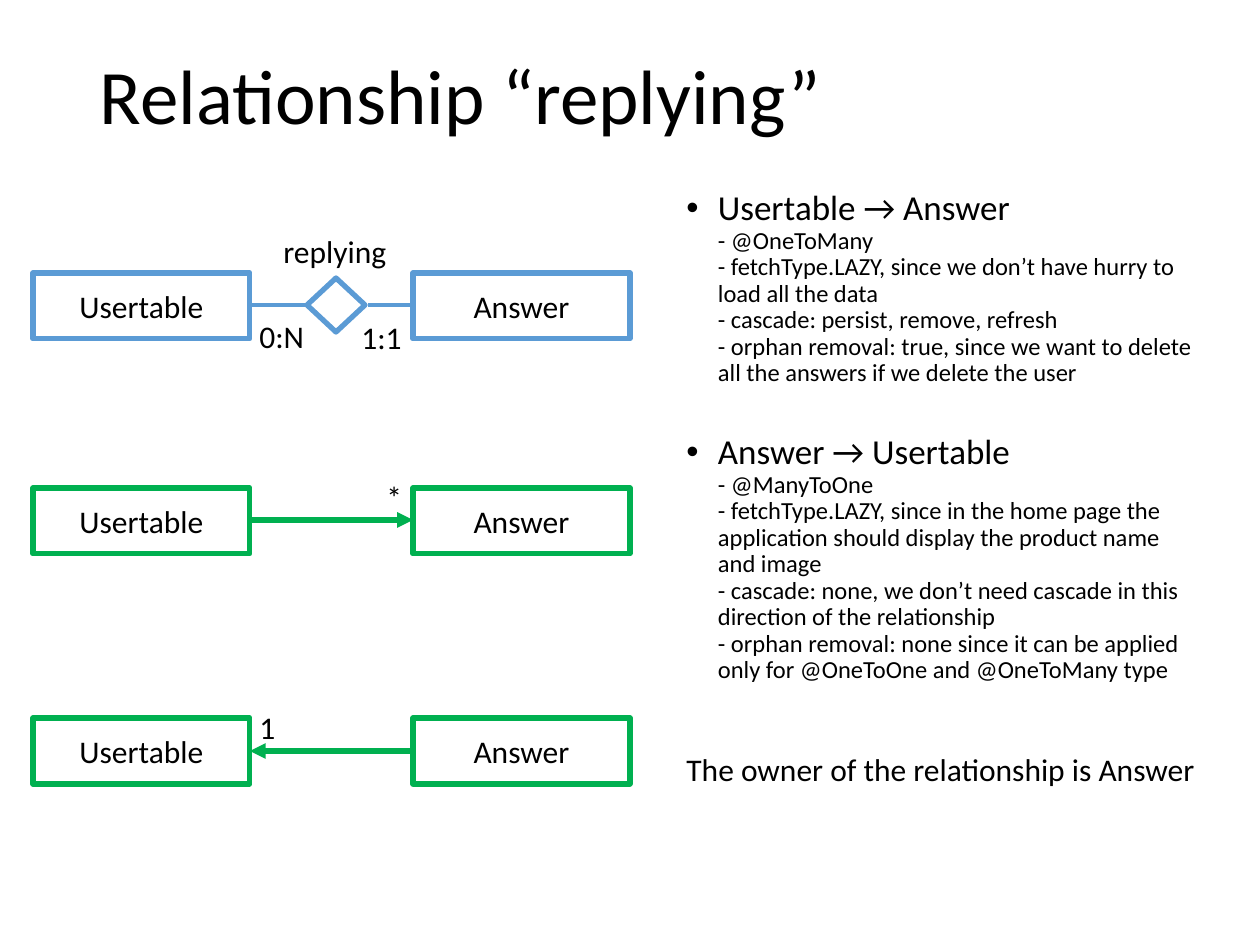
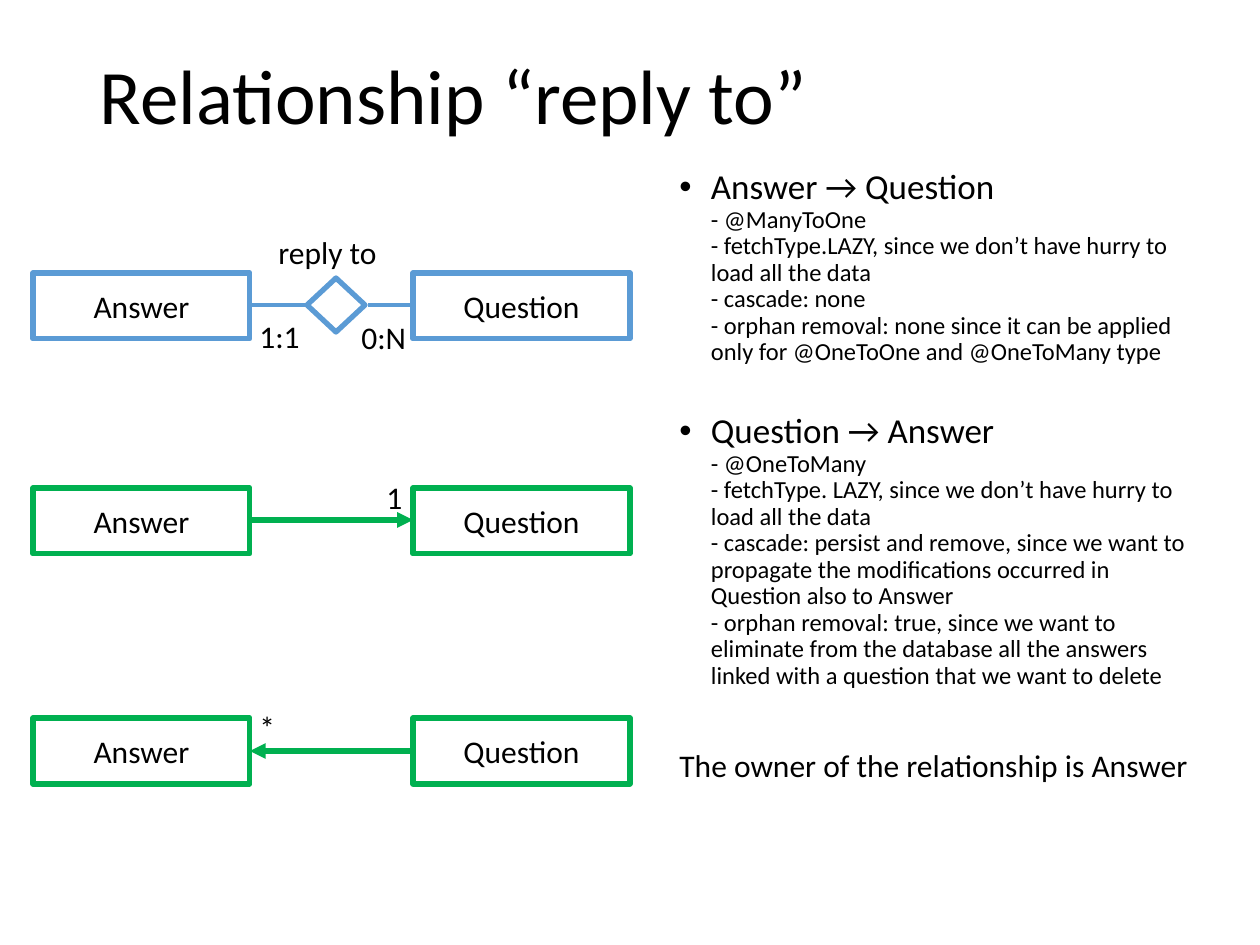
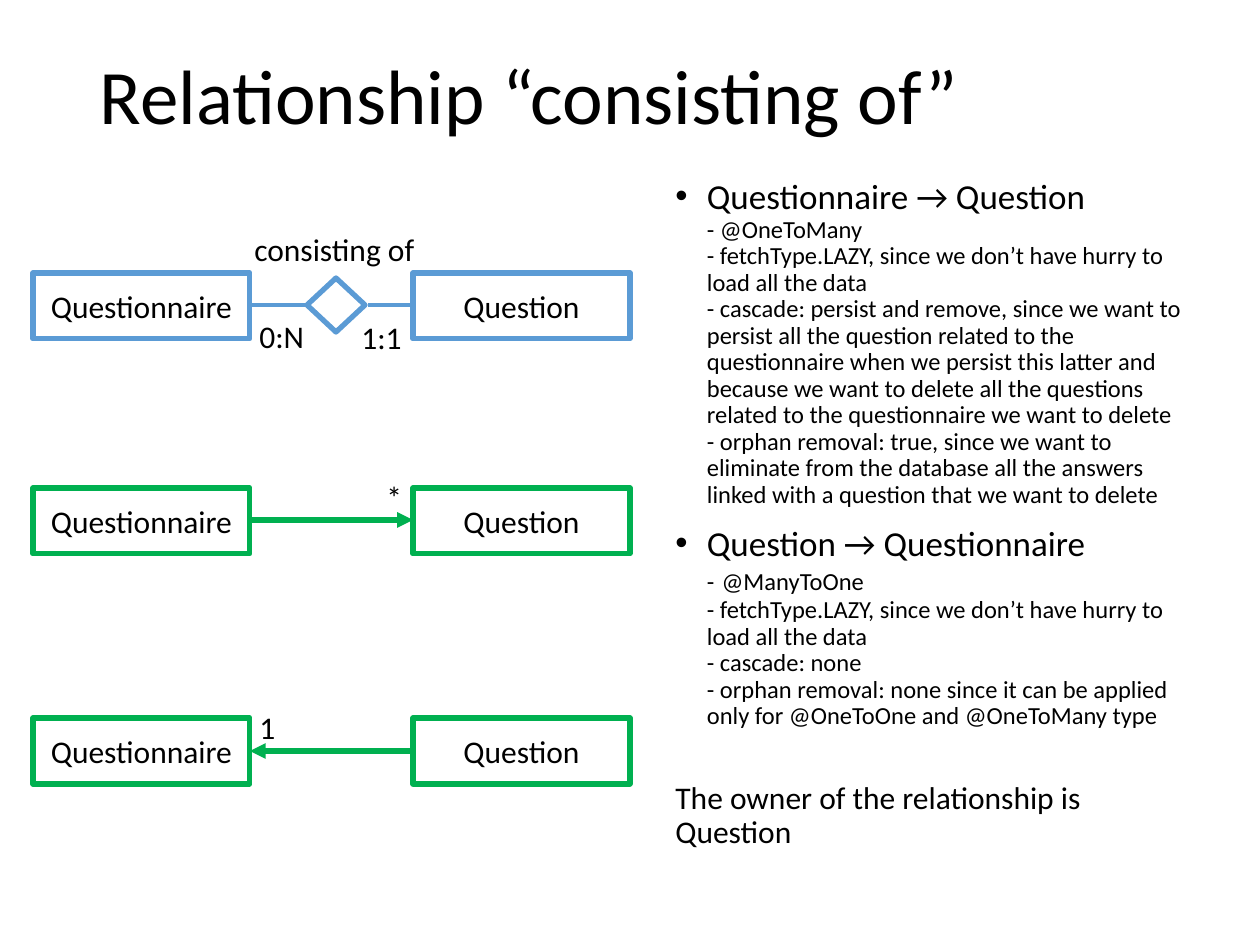
"""Build three slides that map entity relationships to their annotations."""
from lxml.etree import SubElement
from pptx import Presentation
from pptx.dml.color import RGBColor
from pptx.enum.shapes import MSO_CONNECTOR, MSO_SHAPE
from pptx.enum.text import MSO_ANCHOR, MSO_AUTO_SIZE, PP_ALIGN
from pptx.oxml.ns import qn
from pptx.util import Pt

SCALE = 914400 / 126
BLACK = RGBColor(0x00, 0x00, 0x00)
WHITE = RGBColor(0xFF, 0xFF, 0xFF)
BLUE = RGBColor(0x5B, 0x9B, 0xD5)
GREEN = RGBColor(0x00, 0xB0, 0x50)

BOX_LEFTS = (33, 413)
BOX_WIDTH, BOX_HEIGHT = 217, 66
LABEL_HEIGHT = 50
ROWS = ((273, BLUE), (488, GREEN), (718, GREEN))
LINKS = (
    (413, 368, 305, BLUE, 2.25, False),
    (307, 250, 305, BLUE, 2.25, False),
    (413, 250, 520, GREEN, 3, True),
    (250, 413, 751, GREEN, 3, True),
)
CARDINALITY_WIDTHS = {"1:1": 67, "0:N": 71, "*": 42, "1": 42}

LAZY = "- fetchType.LAZY, since we don’t have hurry to load all the data\n"
NO_ORPHANS = "- orphan removal: none since it can be applied only for @OneToOne and @OneToMany type"
ORPHANS = (
    "- orphan removal: true, since we want to eliminate from the database "
    "all the answers linked with a question that we want to delete"
)

SLIDES = (
    {
        "name": "replying",
        "name_at": (271, 226, 130),
        "entities": ("Usertable", "Answer"),
        "cardinalities": ("0:N", "1:1", "*", "1"),
        "body_at": (674, 184),
        "paragraphs": (
            (0, True, (
                ("Usertable → Answer\n", 20),
                ("- @OneToMany\n" + LAZY + "- cascade: persist, remove, refresh\n"
                 "- orphan removal: true, since we want to delete all the answers "
                 "if we delete the user", 14),
            )),
            (27, True, (
                ("Answer → Usertable\n", 20),
                ("- @ManyToOne\n"
                 "- fetchType.LAZY, since in the home page the application should "
                 "display the product name and image\n"
                 "- cascade: none, we don’t need cascade in this direction of the "
                 "relationship\n" + NO_ORPHANS, 14),
            )),
            (40, False, (("The owner of the relationship is Answer", 18),)),
        ),
    },
    {
        "name": "reply to",
        "name_at": (266, 227, 125),
        "entities": ("Answer", "Question"),
        "cardinalities": ("1:1", "0:N", "1", "*"),
        "body_at": (667, 163),
        "paragraphs": (
            (0, True, (
                ("Answer → Question\n", 20),
                ("- @ManyToOne\n" + LAZY + "- cascade: none\n" + NO_ORPHANS, 14),
            )),
            (27, True, (
                ("Question → Answer\n", 20),
                ("- @OneToMany\n" + LAZY.replace(".", ". ") +
                 "- cascade: persist and remove, since we want to propagate the "
                 "modifications occurred in Question also to Answer\n" + ORPHANS, 14),
            )),
            (35, False, (("The owner of the relationship is Answer", 18),)),
        ),
    },
    {
        "name": "consisting of",
        "name_at": (242, 224, 188),
        "entities": ("Questionnaire", "Question"),
        "cardinalities": ("0:N", "1:1", "*", "1"),
        "body_at": (663, 173),
        "paragraphs": (
            (0, True, (
                ("Questionnaire → Question\n", 20),
                ("- @OneToMany\n" + LAZY +
                 "- cascade: persist and remove, since we want to persist all the "
                 "question related to the questionnaire when we persist this latter "
                 "and because we want to delete all the questions related to the "
                 "questionnaire we want to delete\n" + ORPHANS, 14),
            )),
            (10, True, (
                ("Question → Questionnaire\n", 20),
                ("-", 14),
                (" ", 18),
                ("@ManyToOne\n" + LAZY + "- cascade: none\n" + NO_ORPHANS, 14),
            )),
            (30, False, (("The owner of the relationship is Question", 18),)),
        ),
    },
)


def pixels(*lengths):
    return [round(length * SCALE) for length in lengths]


def write(para, text, size):
    for number, line in enumerate(text.split("\n")):
        if number:
            para.add_line_break()
            SubElement(para._p[-1], qn("a:rPr"), sz=str(size * 100))
        if line:
            span = para.add_run()
            span.text = line
            span.font.color.rgb = BLACK
            for key, value in {"name": "Calibri", "size": Pt(size)}.items():
                setattr(span.font, key, value)


deck = Presentation()
deck.slide_width, deck.slide_height = pixels(1260, 945)

for content in SLIDES:
    page = deck.slides.add_slide(deck.slide_layouts[5])
    title = page.shapes.title
    title.left, title.top, title.width, title.height = pixels(87, 8, 1086, 183)
    frame = title.text_frame
    frame.auto_size = MSO_AUTO_SIZE.NONE
    frame.vertical_anchor = MSO_ANCHOR.MIDDLE
    para = frame.paragraphs[0]
    para.alignment = PP_ALIGN.LEFT
    para.line_spacing = 0.9
    write(para, f"Relationship “{content['name']}”", 44)

    body = page.shapes.add_textbox(*pixels(*content["body_at"], 536, 737))
    frame = body.text_frame
    frame.word_wrap = True
    for number, (gap, bulleted, spans) in enumerate(content["paragraphs"]):
        para = frame.add_paragraph() if number else frame.paragraphs[0]
        for key, value in {"line_spacing": 0.9, "space_before": Pt(gap)}.items():
            setattr(para, key, value)
        if bulleted:
            properties = para._p.get_or_add_pPr()
            properties.set("marL", "228600")
            properties.set("indent", "-228600")
            SubElement(properties, qn("a:buFont"), typeface="Arial")
            SubElement(properties, qn("a:buChar"), char="•")
        for text, size in spans:
            write(para, text, size)

    outlines = [
        (MSO_SHAPE.RECTANGLE, (left, top, BOX_WIDTH, BOX_HEIGHT), color, entity)
        for top, color in ROWS
        for left, entity in zip(BOX_LEFTS, content["entities"])
    ]
    outlines.append((MSO_SHAPE.DIAMOND, (307, 278, 58, 54), BLUE, ""))
    for kind, place, color, text in outlines:
        box = page.shapes.add_shape(kind, *pixels(*place))
        box.shadow.inherit = False
        if color == BLUE:
            box.fill.solid()
            box.fill.fore_color.rgb = WHITE
        else:
            box.fill.background()
        box.line.color.rgb = color
        box.line.width = Pt(3)
        box.text_frame.vertical_anchor = MSO_ANCHOR.MIDDLE
        para = box.text_frame.paragraphs[0]
        para.alignment = PP_ALIGN.CENTER
        write(para, text, 18)

    for start, end, height, color, weight, arrow in LINKS:
        link = page.shapes.add_connector(
            MSO_CONNECTOR.STRAIGHT, *pixels(start, height, end, height))
        link.line.color.rgb = color
        link.line.width = Pt(weight)
        if arrow:
            SubElement(link.line._get_or_add_ln(), qn("a:headEnd"), type="triangle")
        SubElement(link._element.spPr, qn("a:effectLst"))

    spots = ((247, 311), (349, 312), (374, 472), (247, 702))
    labels = [
        (text, *spot, CARDINALITY_WIDTHS[text])
        for text, spot in zip(content["cardinalities"], spots)
    ]
    labels.append((content["name"], *content["name_at"]))
    for text, left, top, width in labels:
        label = page.shapes.add_textbox(*pixels(left, top, width, LABEL_HEIGHT))
        frame = label.text_frame
        for key, value in {"word_wrap": False,
                           "auto_size": MSO_AUTO_SIZE.SHAPE_TO_FIT_TEXT}.items():
            setattr(frame, key, value)
        write(frame.paragraphs[0], text, 18)

deck.save("out.pptx")
